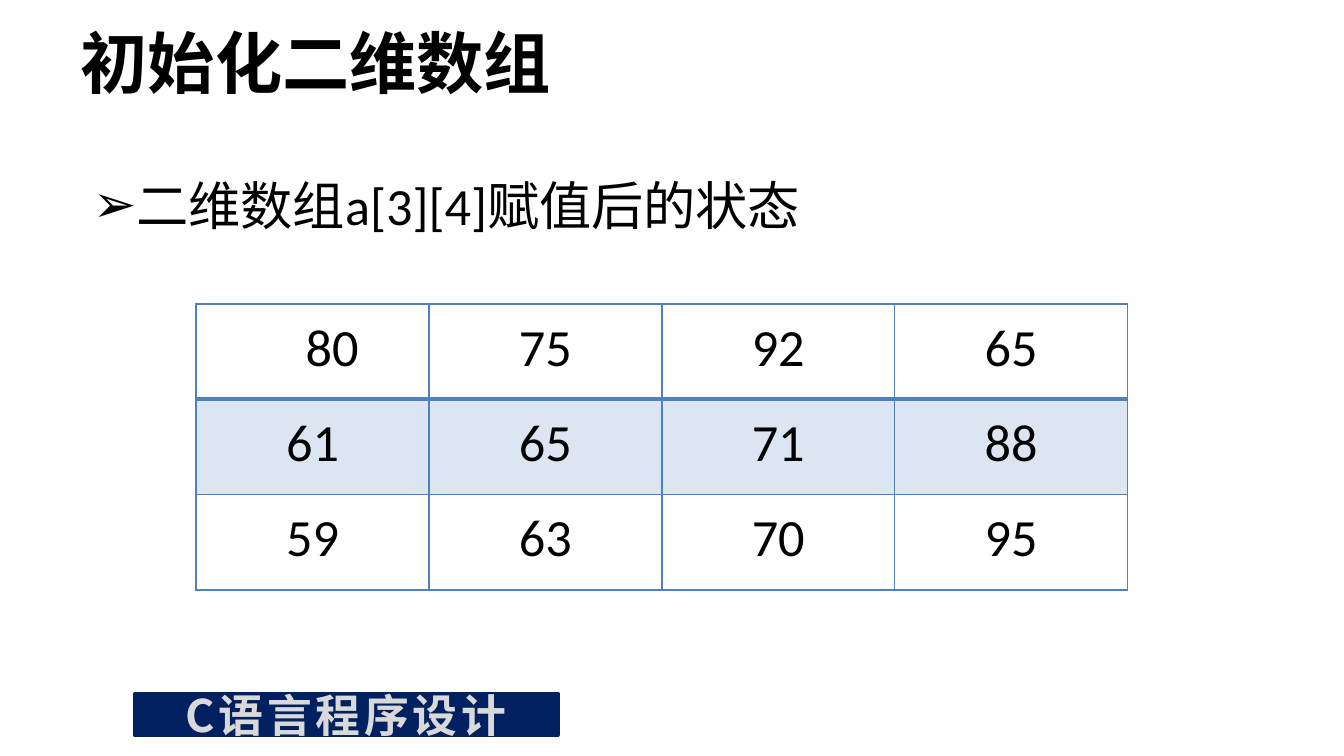
from lxml.etree import SubElement
from pptx import Presentation
from pptx.dml.color import RGBColor as Rgb
from pptx.enum.shapes import MSO_SHAPE as Shape
from pptx.enum.text import MSO_ANCHOR as Anchor, MSO_AUTO_SIZE as AutoSize, PP_ALIGN as Align
from pptx.oxml.ns import qn
from pptx.util import Inches, Pt

COLORS = {"text": "000000", "navy": "002060", "pale": "D9D9D9",
          "border": "4F81BD", "band": "DCE6F2", "plain": "FFFFFF"}
CJK_FONT = "Noto Sans CJK SC"


def write(frame, text, size=28, color="text", font="Calibri", bold=False, align=Align.LEFT,
          line=1.0, left=0, first=0, bullet=None, spacing=0):
    """Write one formatted paragraph into a text frame."""
    para = frame.paragraphs[0]
    para.alignment = align
    para.line_spacing = line
    para.space_before = Pt(0)
    props = para._p.get_or_add_pPr()
    props.set("marL", str(Inches(left)))
    props.set("indent", str(Inches(first)))
    if bullet:
        SubElement(props, qn("a:buFont"), typeface="Arial")
        SubElement(props, qn("a:buChar"), char=bullet)
    span = para.add_run()
    span.text = text
    span.font.size = Pt(size)
    span.font.bold = bold
    span.font.name = font
    span.font.color.rgb = Rgb.from_string(COLORS[color])
    span_props = span._r.get_or_add_rPr()
    SubElement(span_props, qn("a:ea"), typeface=CJK_FONT)
    if spacing:
        span_props.set("spc", str(spacing * 100))


def add_border(cell, side, width):
    """Draw one edge of a table cell."""
    edge = SubElement(cell._tc.get_or_add_tcPr(), qn(f"a:ln{side}"), w=str(Pt(width)))
    fill = SubElement(edge, qn("a:solidFill"))
    SubElement(fill, qn("a:srgbClr"), val=COLORS["border"])


# Page in 16:9 format
deck = Presentation()
deck.slide_width = Inches(10)
deck.slide_height = Inches(10) * 9 // 16
page = deck.slides.add_slide(deck.slide_layouts[1])

# Course name banner
banner = page.shapes.add_shape(Shape.RECTANGLE, Inches(1), Inches(5.16),
                               Inches(3.15), Inches(0.31))
banner.shadow.inherit = False
banner.fill.solid()
banner.fill.fore_color.rgb = Rgb.from_string(COLORS["navy"])
banner.line.color.rgb = Rgb.from_string(COLORS["navy"])
banner.line.width = Pt(2)
banner.text_frame.vertical_anchor = Anchor.MIDDLE
write(banner.text_frame, "C语言程序设计", size=24, color="pale", font=CJK_FONT,
      bold=True, align=Align.CENTER, spacing=2)

# Title
title = page.shapes.title
title.left, title.top, title.width, title.height = map(Inches, (0.5, 0.14, 9, 0.63))
title.text_frame.vertical_anchor = Anchor.MIDDLE
title.text_frame.auto_size = AutoSize.NONE
write(title.text_frame, "初始化二维数组", size=36, bold=True)

# Bulleted statement
body = page.placeholders[1]
body.left, body.top, body.width, body.height = map(Inches, (0.59, 1.24, 8.74, 0.57))
body.text_frame.auto_size = AutoSize.NONE
write(body.text_frame, "二维数组a[3][4]赋值后的状态", left=0.31, first=-0.31, bullet="➢")

# Array values
values = [[80, 75, 92, 65], [61, 65, 71, 88], [59, 63, 70, 95]]
grid = page.shapes.add_table(3, 4, Inches(1.46), Inches(2.26),
                             Inches(6.93), Inches(2.13)).table
grid.first_row = False
grid.horz_banding = False
for r, row in enumerate(values):
    for c, value in enumerate(row):
        cell = grid.cell(r, c)
        cell.margin_left = cell.margin_right = Inches(0.07)
        cell.margin_top = cell.margin_bottom = 0
        write(cell.text_frame, str(value), align=Align.CENTER, line=1.2,
              first=0.29 if r == c == 0 else 0)
        # The line under the first row is heavier
        add_border(cell, "L", 1)
        add_border(cell, "R", 1)
        add_border(cell, "T", 2 if r == 1 else 1)
        add_border(cell, "B", 2 if r == 0 else 1)
        cell.fill.solid()
        cell.fill.fore_color.rgb = Rgb.from_string(COLORS["band" if r == 1 else "plain"])

deck.save("out.pptx")
